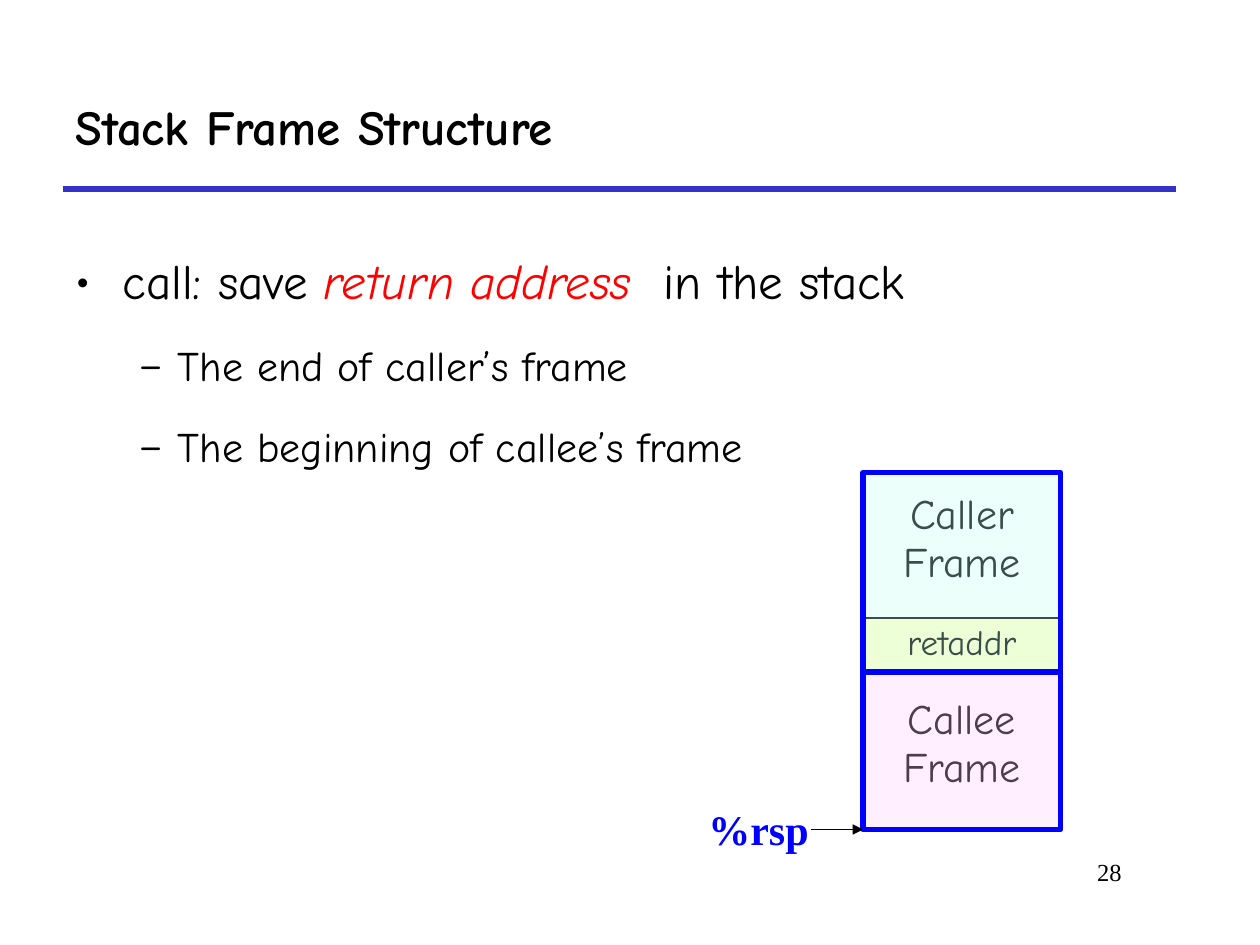
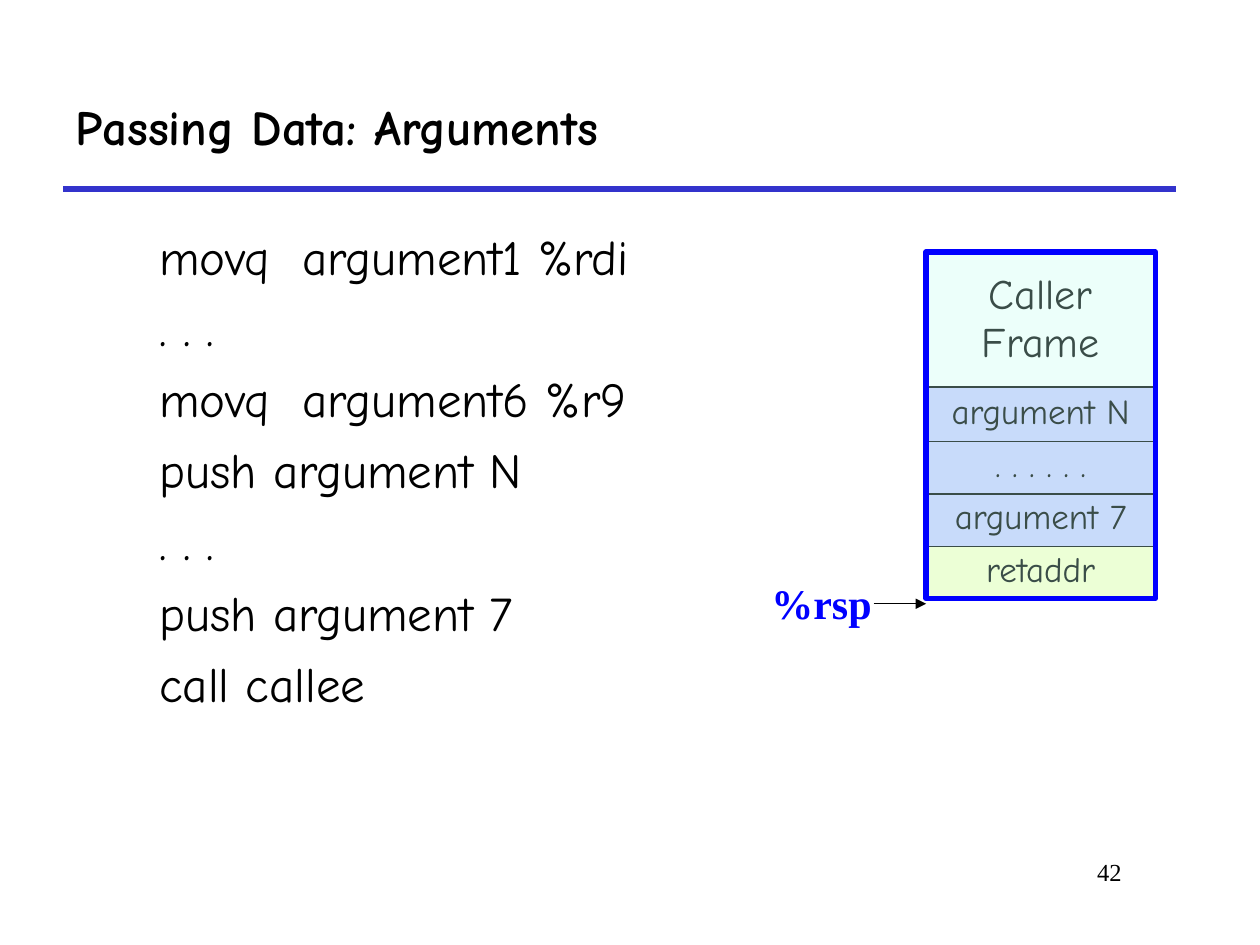
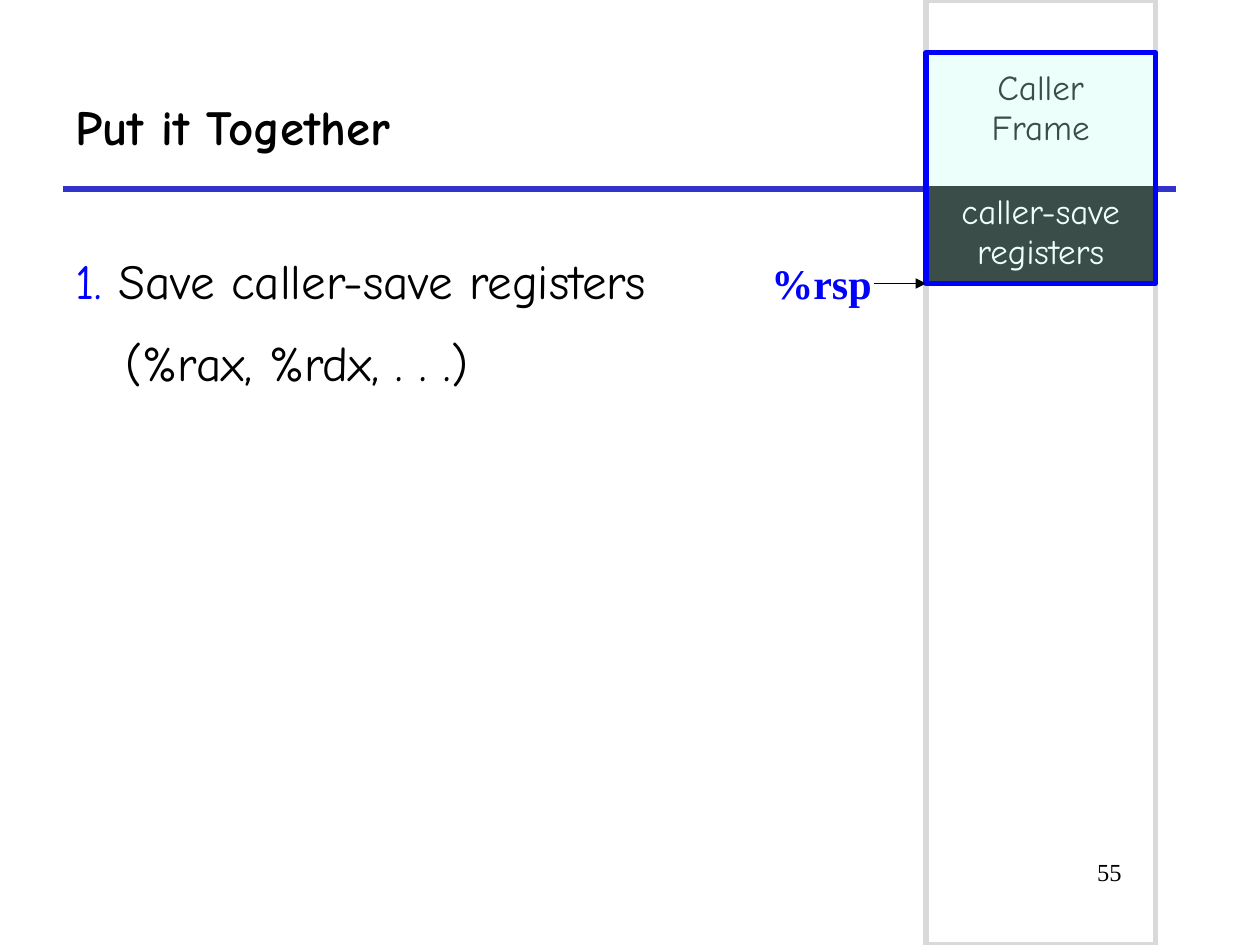
"""Build three slides on stack frames and argument passing."""
from lxml import etree
from pptx import Presentation
from pptx.dml.color import RGBColor
from pptx.enum.shapes import MSO_CONNECTOR, MSO_SHAPE
from pptx.enum.text import MSO_ANCHOR, PP_ALIGN
from pptx.oxml.ns import qn
from pptx.util import Pt

STRAIGHT = MSO_CONNECTOR.STRAIGHT
RECTANGLE = MSO_SHAPE.RECTANGLE
MIDDLE = MSO_ANCHOR.MIDDLE
CENTER, RIGHT = PP_ALIGN.CENTER, PP_ALIGN.RIGHT

BLACK = RGBColor(0x00, 0x00, 0x00)
WHITE = RGBColor(0xFF, 0xFF, 0xFF)
RED = RGBColor(0xFF, 0x00, 0x00)
BLUE = RGBColor(0x00, 0x00, 0xFF)
RULE_BLUE = RGBColor(0x33, 0x33, 0xCC)
GRAY = RGBColor(0xD9, 0xD9, 0xD9)
MINT = RGBColor(0xC2, 0xFF, 0xF0)
PINK = RGBColor(0xFF, 0xCC, 0xFF)
CREAM = RGBColor(0xFF, 0xFF, 0xCC)
LAVENDER = RGBColor(0xCC, 0xCC, 0xFF)

HAND = "Comic Neue"
SERIF = "Times New Roman"
CELL_HEIGHT = 31
CELL_PITCH = 30


def format_run(run, size, color=BLACK, font=HAND, bold=False, italic=False):
    """Give a run its font, size, colour and emphasis."""
    run.font.name = font
    run.font.size = Pt(size)
    run.font.color.rgb = color
    run.font.bold = bold
    run.font.italic = italic


def add_run(paragraph, text, size, color=BLACK, italic=False):
    """Append formatted text to a paragraph."""
    run = paragraph.add_run()
    run.text = text
    format_run(run, size, color, italic=italic)


def add_text_box(slide, box, wrap=True):
    """Add an empty text box and return its text frame."""
    text_frame = slide.shapes.add_textbox(*map(Pt, box)).text_frame
    text_frame.word_wrap = wrap
    return text_frame


def add_label(slide, box, text, size, wrap=True, **style):
    """Add a text box with one formatted run and return its text frame."""
    text_frame = add_text_box(slide, box, wrap)
    text_frame.text = text
    format_run(text_frame.paragraphs[0].runs[0], size, **style)
    return text_frame


def add_line(slide, start, end, color, width, arrow=False):
    """Draw a straight line, with an arrowhead at its end if asked."""
    line = slide.shapes.add_connector(STRAIGHT, *map(Pt, start + end))
    line.line.color.rgb = color
    line.line.width = Pt(width)
    if arrow:
        etree.SubElement(line.line._get_or_add_ln(), qn("a:tailEnd"), type="triangle")
    etree.SubElement(line.element.spPr, qn("a:effectLst"))


def add_outline(slide, box, color, tint=None):
    """Draw a framed rectangle, empty or with a translucent tint."""
    shape = slide.shapes.add_shape(RECTANGLE, *map(Pt, box))
    shape.shadow.inherit = False
    shape.line.color.rgb = color
    shape.line.width = Pt(3)
    if tint is None:
        shape.fill.background()
        return
    shape.fill.solid()
    shape.fill.fore_color.rgb = tint
    fill_color = shape.element.spPr.find(qn("a:solidFill"))[0]
    etree.SubElement(fill_color, qn("a:alpha"), val="30000")


def add_cell(slide, box, text, size=20, fill=None, color=BLACK, margin=3.6):
    """Add a bordered one-cell table with centred text."""
    table = slide.shapes.add_table(1, 1, *map(Pt, box)).table
    table.first_row = table.horz_banding = False
    cell = table.cell(0, 0)
    cell.margin_top = Pt(margin)
    properties = cell._tc.get_or_add_tcPr()
    for side in ("a:lnL", "a:lnR", "a:lnT", "a:lnB"):
        border = etree.SubElement(properties, qn(side), w=str(Pt(1.08)))
        solid = etree.SubElement(border, qn("a:solidFill"))
        etree.SubElement(solid, qn("a:srgbClr"), val=str(BLACK))
    if fill is None:
        cell.fill.background()
    else:
        cell.fill.solid()
        cell.fill.fore_color.rgb = fill
    paragraph = cell.text_frame.paragraphs[0]
    paragraph.text = text
    paragraph.alignment = CENTER
    for run in paragraph.runs:
        format_run(run, size, color)


def add_frame(slide, box, text, tint, size=24, margin=11):
    """Add a named stack frame: a cell under a tinted blue outline."""
    add_cell(slide, box, text, size, margin=margin)
    add_outline(slide, box, BLUE, tint)


def add_bottom_cells(slide, box, cells):
    """Stack equal cells upwards from the bottom of a frame."""
    left, top, width, height = box
    for index, (text, fill) in enumerate(reversed(cells)):
        cell_top = top + height - CELL_HEIGHT - index * CELL_PITCH
        add_cell(slide, (left, cell_top, width, CELL_HEIGHT), text, fill=fill)


def add_stack_pointer(slide, tip_x, tip_y):
    """Point the %rsp label and its arrow at a place on the stack edge."""
    box = (tip_x - 95.5, tip_y - 18.5, 74, 36)
    add_label(slide, box, "%rsp", 24, wrap=False, color=BLUE, font=SERIF, bold=True)
    add_line(slide, (tip_x - 30, tip_y), (tip_x, tip_y), BLACK, 0.75, arrow=True)


def set_indent(paragraph, left, hanging, bullet=None):
    """Set a hanging indent and, if given, a bullet character."""
    properties = paragraph._p.get_or_add_pPr()
    properties.set("marL", str(Pt(left)))
    properties.set("indent", str(-Pt(hanging)))
    if bullet:
        color = etree.SubElement(properties, qn("a:buClr"))
        etree.SubElement(color, qn("a:srgbClr"), val=str(BLACK))
        etree.SubElement(properties, qn("a:buFont"), typeface=HAND)
        etree.SubElement(properties, qn("a:buChar"), char=bullet)


def add_base_slide(presentation, title, number):
    """Add a slide with the shared rule, title and page number."""
    slide = presentation.slides.add_slide(presentation.slide_layouts[6])
    add_line(slide, (36, 108), (672, 108), RULE_BLUE, 3)
    title_frame = add_label(slide, (36, 36, 636, 72), title, 28, bold=True)
    title_frame.vertical_anchor = MIDDLE
    number_frame = add_label(slide, (546, 486, 102, 36), number, 14, font=SERIF)
    number_frame.paragraphs[0].alignment = RIGHT
    return slide


def build_structure_slide(presentation):
    """Build the slide on where caller and callee frames meet."""
    slide = add_base_slide(presentation, "Stack Frame Structure", "28")
    text_frame = add_text_box(slide, (36, 126, 660, 348))
    paragraph = text_frame.paragraphs[0]
    set_indent(paragraph, 27, 27, "•")
    paragraph.line_spacing = 1.4
    add_run(paragraph, "call: save ", 28)
    add_run(paragraph, "return address", 28, RED, italic=True)
    add_run(paragraph, "  in the stack", 28)
    for text in ("The end of caller’s frame", "The beginning of callee’s frame"):
        paragraph = text_frame.add_paragraph()
        paragraph.level = 1
        set_indent(paragraph, 58.5, 22.5, "–")
        paragraph.line_spacing = 1.4
        paragraph.space_before = Pt(6)
        add_run(paragraph, text, 24)

    left, width = 493.2, 113
    caller_box = (left, 270, width, 114)
    add_bottom_cells(slide, caller_box, [("retaddr", CREAM)])
    add_frame(slide, caller_box, "Caller\nFrame", MINT)
    add_frame(slide, (left, 384, width, 90), "Callee\nFrame", PINK, margin=14)
    add_stack_pointer(slide, left, 474)


def build_arguments_slide(presentation):
    """Build the slide on passing arguments in registers and on the stack."""
    slide = add_base_slide(presentation, "Passing Data: Arguments", "42")
    text_frame = add_text_box(slide, (84, 126, 612, 348))
    lines = (
        "movq  argument1 %rdi",
        ". . .",
        "movq  argument6 %r9",
        "push argument N",
        ". . .",
        "push argument 7",
        "call callee",
    )
    text_frame.text = "\n".join(lines)
    for index, paragraph in enumerate(text_frame.paragraphs):
        paragraph.space_before = Pt(7 if index else 0)
        format_run(paragraph.runs[0], 28)

    left, width = 529.2, 131
    caller_box = (left, 144, width, 198)
    cells = [(text, LAVENDER) for text in ("argument N", ". . . . . .", "argument 7")]
    add_bottom_cells(slide, caller_box, cells + [("retaddr", CREAM)])
    add_frame(slide, caller_box, "Caller\nFrame", MINT)
    add_stack_pointer(slide, left, 345)


def build_together_slide(presentation):
    """Build the slide on saving the caller-save registers."""
    slide = add_base_slide(presentation, "Put it Together", "55")
    text_frame = add_text_box(slide, (36, 126, 480, 348))
    paragraph = text_frame.paragraphs[0]
    set_indent(paragraph, 28.8, 28.8)
    paragraph.line_spacing = 1.4
    add_run(paragraph, "1. ", 28, BLUE)
    add_run(paragraph, "Save caller-save registers", 28)
    paragraph.add_line_break()
    add_run(paragraph, "(%rax, %rdx, . . .)", 28)

    left, width = 529.2, 131
    add_outline(slide, (left, 0, width, 540), GRAY)
    add_cell(slide, (left, 106.5, width, 55.5), "caller-save registers", fill=BLACK, color=WHITE)
    add_frame(slide, (left, 30, width, 132), "Caller\nFrame", MINT, size=20, margin=9.5)
    add_stack_pointer(slide, left, 162)


def main():
    """Build and save the presentation."""
    presentation = Presentation()
    presentation.slide_width = Pt(720)
    presentation.slide_height = Pt(540)
    build_structure_slide(presentation)
    build_arguments_slide(presentation)
    build_together_slide(presentation)
    presentation.save("out.pptx")


if __name__ == "__main__":
    main()
